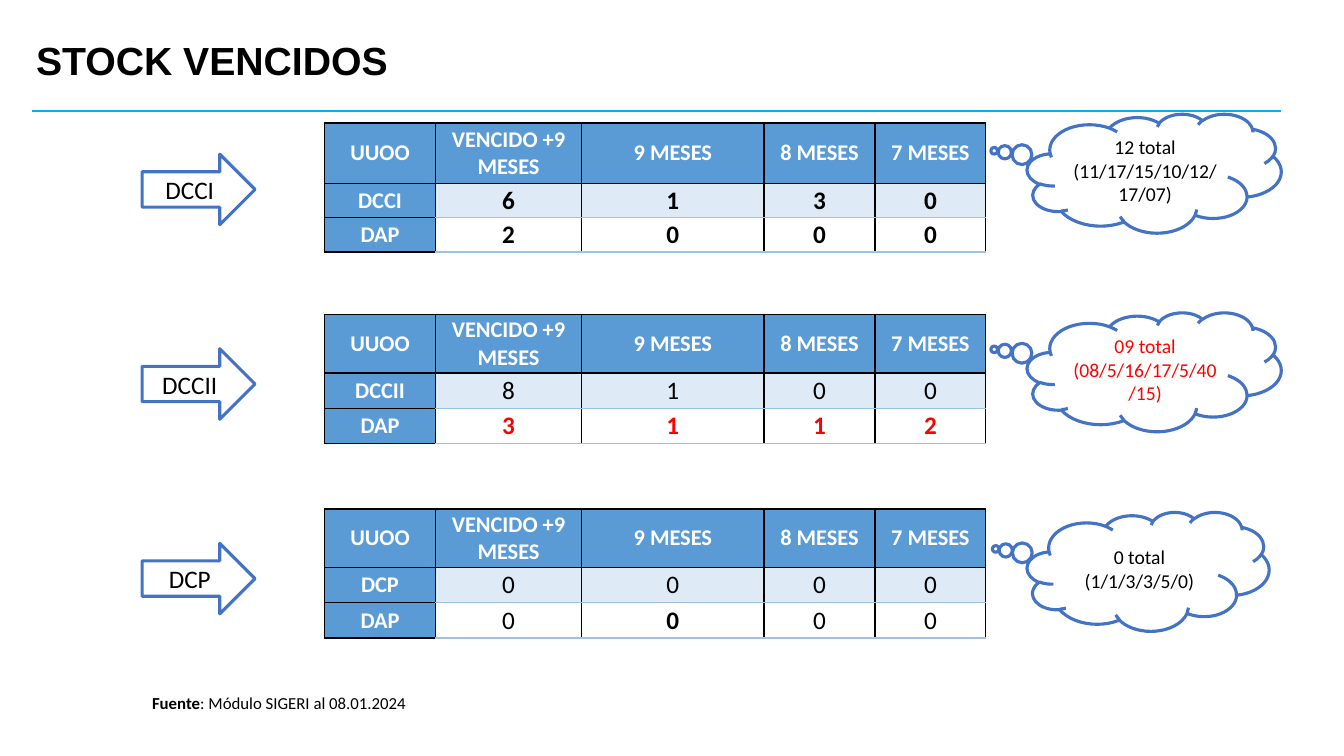
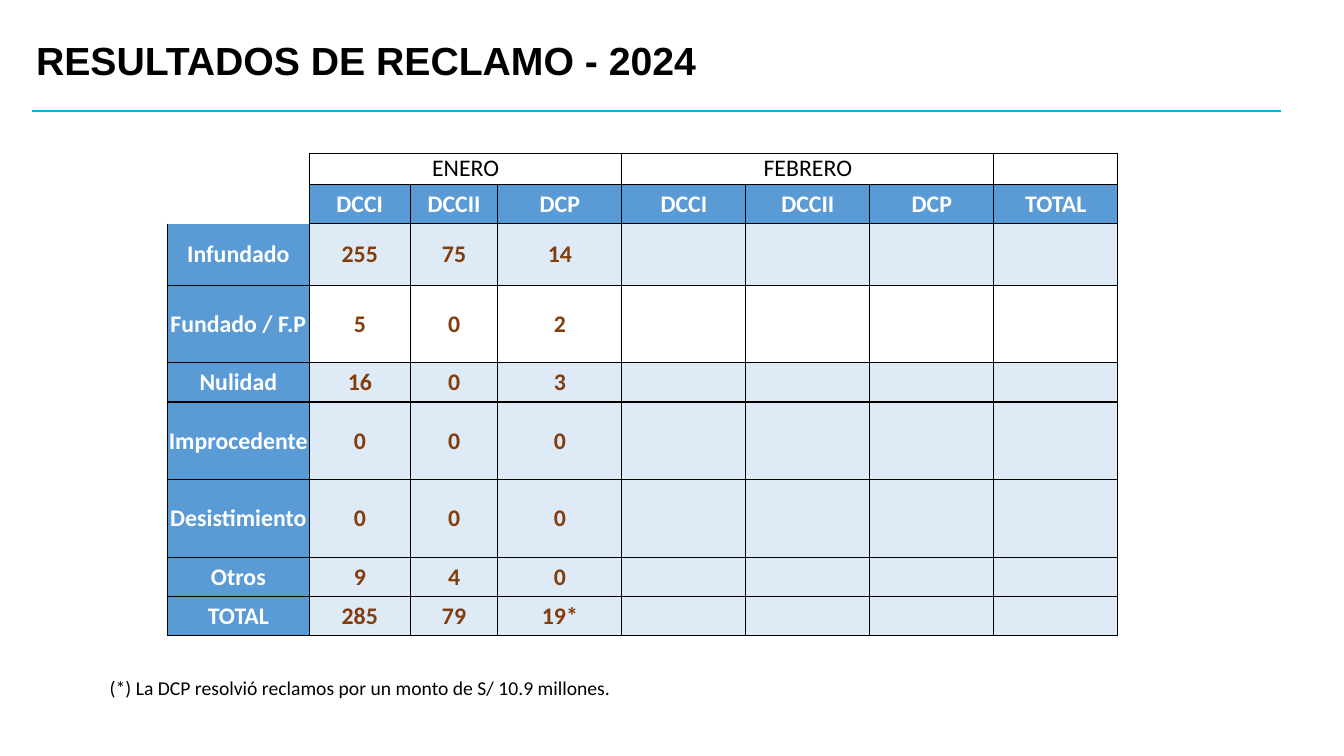
from dataclasses import dataclass

from lxml import etree
from pptx import Presentation
from pptx import util as u
from pptx.dml.color import RGBColor
from pptx.enum import shapes, text
from pptx.oxml.ns import qn

# Grid: a square unit, 133.33 columns by 75 rows
UNIT = u.Inches(0.1)
COLUMNS, ROWS = 133.33, 75

BLACK = RGBColor(0x00, 0x00, 0x00)
WHITE = RGBColor(0xFF, 0xFF, 0xFF)
RED = RGBColor(0xFF, 0x00, 0x00)
BROWN = RGBColor(0x83, 0x3C, 0x0C)
RULE_BLUE = RGBColor(0x00, 0xB0, 0xF0)
OUTLINE_BLUE = RGBColor(0x44, 0x72, 0xC4)
HEADER_BLUE = RGBColor(0x5B, 0x9B, 0xD5)
PALE_BLUE = RGBColor(0xDE, 0xEA, 0xF6)
SOFT_BLUE = RGBColor(0x9C, 0xC2, 0xE5)

LABEL = dict(color=WHITE, bold=True)
ALL_BLACK = dict(L=BLACK, R=BLACK, T=BLACK, B=BLACK)


def grid(amount):
    return u.Emu(round(amount * UNIT))


@dataclass
class Box:
    left: float
    top: float
    width: float
    height: float

    def inner(self, left, top, width, height):
        return Box(self.left + left, self.top + top, width, height)

    def emu(self):
        return [grid(n) for n in (self.left, self.top, self.width, self.height)]


SLIDE = Box(0, 0, COLUMNS, ROWS)


# Text
def write(frame, content, size=18, color=BLACK, bold=False, font="Calibri",
          align=text.PP_ALIGN.CENTER, anchor=text.MSO_ANCHOR.MIDDLE, spacing=None):
    """Write a string, or a list of (string, bold) runs, as one paragraph."""
    frame.word_wrap = True
    frame.vertical_anchor = anchor
    paragraph = frame.paragraphs[0]
    paragraph.alignment = align
    if spacing:
        paragraph.line_spacing = spacing
    runs = [(content, bold)] if isinstance(content, str) else content
    for words, heavy in runs:
        run = paragraph.add_run()
        run.text = words
        run.font.name, run.font.size, run.font.bold = font, u.Pt(size), heavy
        run.font.color.rgb = color


def add_note(slide, box, content, size, **style):
    frame = slide.shapes.add_textbox(*box.emu()).text_frame
    style = dict(align=text.PP_ALIGN.LEFT, anchor=text.MSO_ANCHOR.TOP) | style
    write(frame, content, size=size, **style)


# Shapes and tables
def add_outlined(slide, kind, box, content, adjustments=(), **style):
    shape = slide.shapes.add_shape(kind, *box.emu())
    shape.shadow.inherit = False
    shape.fill.solid()
    shape.fill.fore_color.rgb = WHITE
    shape.line.color.rgb = OUTLINE_BLUE
    shape.line.width = u.Pt(2.25)
    for index, value in enumerate(adjustments):
        shape.adjustments[index] = value
    write(shape.text_frame, content, **style)


def add_grid_table(slide, box, widths, heights):
    table = slide.shapes.add_table(len(heights), len(widths), *box.emu()).table
    table.first_row = table.horz_banding = False
    for column, width in zip(table.columns, widths):
        column.width = grid(width)
    for row, height in zip(table.rows, heights):
        row.height = grid(height)
    return table


def set_borders(cell, colors):
    properties = cell._tc.get_or_add_tcPr()
    for side in "LRTB":
        line = etree.SubElement(properties, qn("a:ln" + side), w=str(u.Pt(1)))
        if side in colors:
            fill = etree.SubElement(line, qn("a:solidFill"))
            etree.SubElement(fill, qn("a:srgbClr"), val=str(colors[side]))
        else:
            etree.SubElement(line, qn("a:noFill"))


def fill_cell(cell, content, fill, side_margin, borders=ALL_BLACK, **style):
    set_borders(cell, borders)
    if fill is None:
        cell.fill.background()
    else:
        cell.fill.solid()
        cell.fill.fore_color.rgb = fill
    cell.margin_left = cell.margin_right = grid(side_margin)
    cell.margin_top = cell.margin_bottom = 0
    cell.vertical_anchor = text.MSO_ANCHOR.MIDDLE
    if content:
        write(cell.text_frame, content, **style)


# Title and rule shared by all slides
def add_titled_slide(deck, title):
    slide = deck.slides.add_slide(deck.slide_layouts[6])
    rule = slide.shapes.add_connector(
        shapes.MSO_CONNECTOR.STRAIGHT, grid(3.2), grid(11), grid(127.1), grid(11))
    rule.line.color.rgb = RULE_BLUE
    rule.line.width = u.Pt(1.5)
    etree.SubElement(rule._element.spPr, qn("a:effectLst"))
    add_note(slide, SLIDE.inner(2.6, 2.7, 115, 7), title, 28, font="Arial", bold=True,
             anchor=text.MSO_ANCHOR.MIDDLE, spacing=0.9)
    return slide


# Slide 1: one band per unit, with arrow, table and cloud
STOCK_HEADER = ["UUOO", "VENCIDO +9 MESES", "9 MESES", "8 MESES", "7 MESES"]
STOCK_WIDTHS = [11, 14.5, 18.1, 11, 11]
BAND_PITCH = 19.3
REGULAR, BOLD, ALERT = dict(), dict(bold=True), dict(bold=True, color=RED)


@dataclass
class Band:
    unit: str
    unit_counts: str
    unit_styles: list
    dap_counts: str
    dap_styles: list
    total: str
    total_color: RGBColor = BLACK
    header_height: float = 5.8
    table_top: float = 0
    cloud_top: float = 0
    cloud_width: float = 25.2


BANDS = [
    Band("DCCI", "6130", [BOLD] * 4, "2000", [BOLD] * 4,
         "12 total (11/17/15/10/12/17/07)",
         header_height=6, table_top=0.2, cloud_top=-0.7),
    Band("DCCII", "8100", [REGULAR] * 4, "3112", [ALERT] * 4,
         "09 total (08/5/16/17/5/40/15)", total_color=RED,
         table_top=-0.1, cloud_top=-0.3),
    Band("DCP", "0000", [REGULAR] * 4, "0000", [REGULAR, BOLD, REGULAR, REGULAR],
         "0 total (1/1/3/3/5/0)",
         table_top=-0.1, cloud_top=0.2, cloud_width=24),
]


def add_stock_table(slide, box, band):
    body_height = (box.height - band.header_height) / 2
    table = add_grid_table(slide, box, STOCK_WIDTHS,
                           [band.header_height, body_height, body_height])
    for column, heading in enumerate(STOCK_HEADER):
        fill_cell(table.cell(0, column), heading, HEADER_BLUE, 0.5, size=16, **LABEL)
    body = [
        (band.unit, band.unit_counts, band.unit_styles, PALE_BLUE, BLACK),
        ("DAP", band.dap_counts, band.dap_styles, None, SOFT_BLUE),
    ]
    for row, (name, counts, styles, fill, top_color) in enumerate(body, 1):
        fill_cell(table.cell(row, 0), name, HEADER_BLUE, 0.5, size=16, **LABEL)
        borders = ALL_BLACK | dict(T=top_color, B=SOFT_BLUE)
        for column, (count, style) in enumerate(zip(counts, styles), 1):
            fill_cell(table.cell(row, column), count, fill, 0.5, borders, **style)


def add_stock_band(slide, box, band):
    add_outlined(slide, shapes.MSO_SHAPE.RIGHT_ARROW, box.inner(0, 3.3, 11.2, 7), band.unit)
    add_stock_table(slide, box.inner(18.1, band.table_top, sum(STOCK_WIDTHS), 12.8), band)
    add_outlined(slide, shapes.MSO_SHAPE.CLOUD_CALLOUT,
                 box.inner(87.8, band.cloud_top, band.cloud_width, 11.8), band.total,
                 adjustments=(-0.63, -0.19), size=14, color=band.total_color)


def build_stock_slide(deck):
    slide = add_titled_slide(deck, "STOCK VENCIDOS")
    for index, band in enumerate(BANDS):
        add_stock_band(slide, SLIDE.inner(14.1, 12 + index * BAND_PITCH, 113, 12.8), band)
    add_note(slide, SLIDE.inner(14.1, 68.2, 34.2, 3),
             [("Fuente", True), (": Módulo SIGERI al 08.01.2024", False)], 12)


# Slide 2: results by month and unit
MONTHS = {1: "ENERO", 4: "FEBRERO"}
UNITS = ["DCCI", "DCCII", "DCP"]
RESULT_WIDTHS = [14.1, 10, 8.7] + [12.3] * 5
RESULTS = [
    ("Infundado", 6.1, ["255", "75", "14"]),
    ("Fundado / F.P", 7.7, ["5", "0", "2"]),
    ("Nulidad", 3.9, ["16", "0", "3"]),
    ("Improcedente", 7.7, ["0", "0", "0"]),
    ("Desistimiento", 7.7, ["0", "0", "0"]),
    ("Otros", 3.9, ["9", "4", "0"]),
    ("TOTAL", 3.9, ["285", "79", "19*"]),
]


def add_results_table(slide, box):
    heights = [3.1, 3.9] + [height for _, height, _ in RESULTS]
    table = add_grid_table(slide, box, RESULT_WIDTHS, heights)

    def put(row, column, content, fill, **style):
        fill_cell(table.cell(row, column), content, fill, 0.1, size=17, **style)

    # Month and unit headings
    for row in range(2):
        put(row, 0, "", None, borders=dict(R=BLACK))
    for column in range(1, len(RESULT_WIDTHS)):
        put(0, column, MONTHS.get(column, ""), None)
    for column, heading in enumerate(UNITS * 2 + ["TOTAL"], 1):
        put(1, column, heading, HEADER_BLUE, **LABEL)
    table.cell(0, 0).merge(table.cell(1, 0))
    for column in MONTHS:
        table.cell(0, column).merge(table.cell(0, column + len(UNITS) - 1))

    # Outcomes; February and the total are still empty
    for row, (outcome, _, counts) in enumerate(RESULTS, 2):
        sides = dict(ALL_BLACK)
        if row == 2:
            del sides["T"]
        put(row, 0, outcome, HEADER_BLUE, borders=sides, **LABEL)
        fill = WHITE if outcome == "Fundado / F.P" else PALE_BLUE
        for column, count in enumerate(counts + [""] * 4, 1):
            put(row, column, count, fill, color=BROWN, bold=True)


def build_results_slide(deck):
    slide = add_titled_slide(deck, "RESULTADOS DE RECLAMO - 2024")
    add_results_table(slide, SLIDE.inner(16.6, 15.2, sum(RESULT_WIDTHS), 47.9))
    add_note(slide, SLIDE.inner(9.9, 66.6, 94.4, 3.4),
             "(*) La DCP resolvió reclamos por un monto de S/ 10.9 millones.", 14)


def main():
    deck = Presentation()
    deck.slide_width, deck.slide_height = grid(COLUMNS), grid(ROWS)
    build_stock_slide(deck)
    build_results_slide(deck)
    deck.save("out.pptx")


if __name__ == "__main__":
    main()
